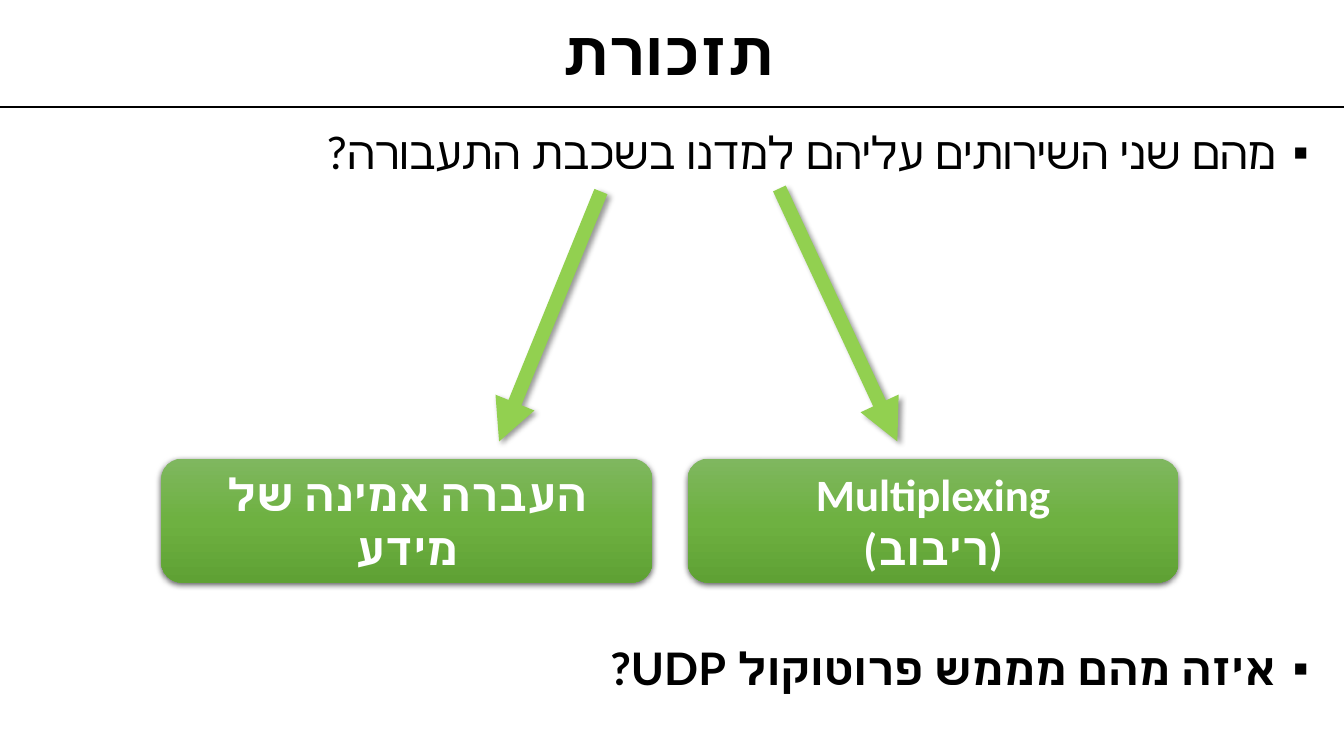
"""Build the Hebrew reminder slide on the two transport layer services."""
from lxml.etree import SubElement
from copy import deepcopy
from pptx import Presentation
from pptx.dml.color import RGBColor
from pptx.enum.shapes import MSO_CONNECTOR as Connector, MSO_SHAPE as Shape
from pptx.enum.text import MSO_ANCHOR as Anchor, PP_ALIGN as Align
from pptx.oxml.ns import qn
from pptx.util import Inches, Pt

BLACK = RGBColor(0x00, 0x00, 0x00)
WHITE = RGBColor(0xFF, 0xFF, 0xFF)
ARROW_GREEN = RGBColor(0x92, 0xD0, 0x50)
BOX_GREENS = [
    RGBColor(0x7F, 0xB7, 0x5F),
    RGBColor(0x6E, 0xB1, 0x41),
    RGBColor(0x5F, 0xA1, 0x34),
]


def write_text(shape, text, align, anchor, color, font_format):
    """Fill a shape with one right-to-left paragraph."""
    frame = shape.text_frame
    frame.word_wrap = True
    frame.vertical_anchor = anchor
    paragraph = frame.paragraphs[0]
    paragraph.text = text
    paragraph.alignment = align
    properties = paragraph._p.get_or_add_pPr()
    properties.set("rtl", "1")
    for run in paragraph.runs:
        for name, value in font_format.items():
            setattr(run.font, name, value)
        run.font.color.rgb = color
        SubElement(run._r.get_or_add_rPr(), qn("a:cs"), typeface=font_format["name"])
    return paragraph


def add_shadow(properties, alpha, blur, distance, angle):
    """Append a black outer shadow, with lengths in points and the angle in degrees."""
    effects = properties.find(qn("a:effectLst"))
    if effects is None:
        effects = SubElement(properties, qn("a:effectLst"))
    shadow = SubElement(
        effects, qn("a:outerShdw"), blurRad=str(Pt(blur)), dist=str(Pt(distance)),
        dir=str(angle * 60000), algn="ctr", rotWithShape="0",
    )
    shadow_color = SubElement(shadow, qn("a:srgbClr"), val="000000")
    SubElement(shadow_color, qn("a:alpha"), val=str(alpha * 1000))


presentation = Presentation()
presentation.slide_width = Inches(13.33)
presentation.slide_height = Inches(7.5)
slide = presentation.slides.add_slide(presentation.slide_layouts[6])
shapes = slide.shapes

title_rule = shapes.add_connector(
    Connector.STRAIGHT, Inches(-0.05), Inches(1.06), Inches(13.38), Inches(1.06)
)
title_rule.line.color.rgb = BLACK
title_rule.line.width = Pt(1)
SubElement(title_rule._element.spPr, qn("a:effectLst"))

title = shapes.add_textbox(0, Inches(0.04), Inches(13.26), Inches(1.02))
title_format = {"name": "Lato", "size": Pt(44), "bold": True}
title_paragraph = write_text(title, "תזכורת", Align.CENTER, Anchor.MIDDLE, BLACK, title_format)
title_paragraph.line_spacing = 0.9

questions = [
    (1.19, "מהם שני השירותים עליהם למדנו בשכבת התעבורה?", False),
    (6.31, "איזה מהם מממש פרוטוקול UDP?", True),
]
for top, text, bold in questions:
    question = shapes.add_textbox(Inches(0.35), Inches(top), Inches(12.73), Inches(0.7))
    question_format = {"name": "Lato", "size": Pt(32), "bold": bold}
    paragraph = write_text(question, text, Align.RIGHT, Anchor.TOP, BLACK, question_format)
    properties = paragraph._p.get_or_add_pPr()
    properties.set("marL", str(Inches(0.32)))
    properties.set("indent", str(Inches(-0.32)))
    bullet_color = SubElement(properties, qn("a:buClr"))
    SubElement(bullet_color, qn("a:srgbClr"), val=str(BLACK))
    SubElement(properties, qn("a:buFont"), typeface="Arial")
    SubElement(properties, qn("a:buChar"), char="▪")

services = [(6.82, "Multiplexing\v(ריבוב)"), (1.6, "העברה אמינה של מידע")]
service_format = {"name": "Calibri", "size": Pt(32), "bold": True}
for left, text in services:
    service = shapes.add_shape(
        Shape.ROUNDED_RECTANGLE, Inches(left), Inches(4.55), Inches(4.87), Inches(1.23)
    )
    service.fill.gradient()
    service.fill.gradient_angle = 270
    stop_list = service._element.spPr.find(".//" + qn("a:gsLst"))
    stop_list.insert(1, deepcopy(stop_list[0]))
    for index, (stop, color) in enumerate(zip(service.fill.gradient_stops, BOX_GREENS)):
        stop.position = index / 2
        stop.color.rgb = color
    service.line.fill.background()
    service.shadow.inherit = False
    add_shadow(service._element.spPr, 63, 4.5, 1.5, 90)
    write_text(service, text, Align.CENTER, Anchor.MIDDLE, WHITE, service_format)

for start_x, start_y, end_x in [(7.73, 1.87, 8.9), (5.96, 1.9, 4.95)]:
    arrow = shapes.add_connector(
        Connector.STRAIGHT, Inches(start_x), Inches(start_y), Inches(end_x), Inches(4.38)
    )
    arrow.line.color.rgb = ARROW_GREEN
    arrow.line.width = Pt(10)
    arrow_properties = arrow._element.spPr
    SubElement(arrow_properties.find(qn("a:ln")), qn("a:tailEnd"), type="triangle")
    add_shadow(arrow_properties, 40, 4, 3, 45)

presentation.save("out.pptx")
